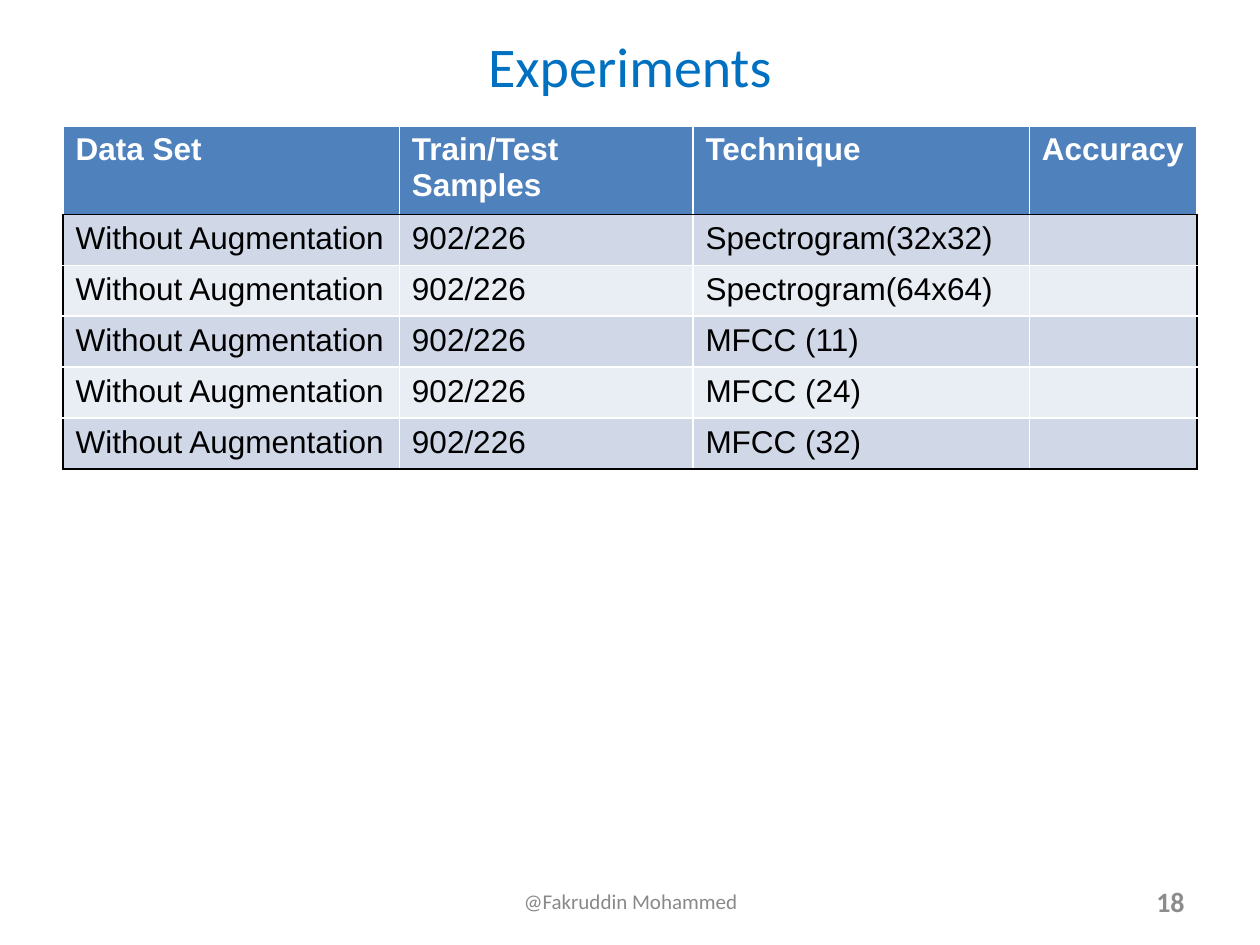
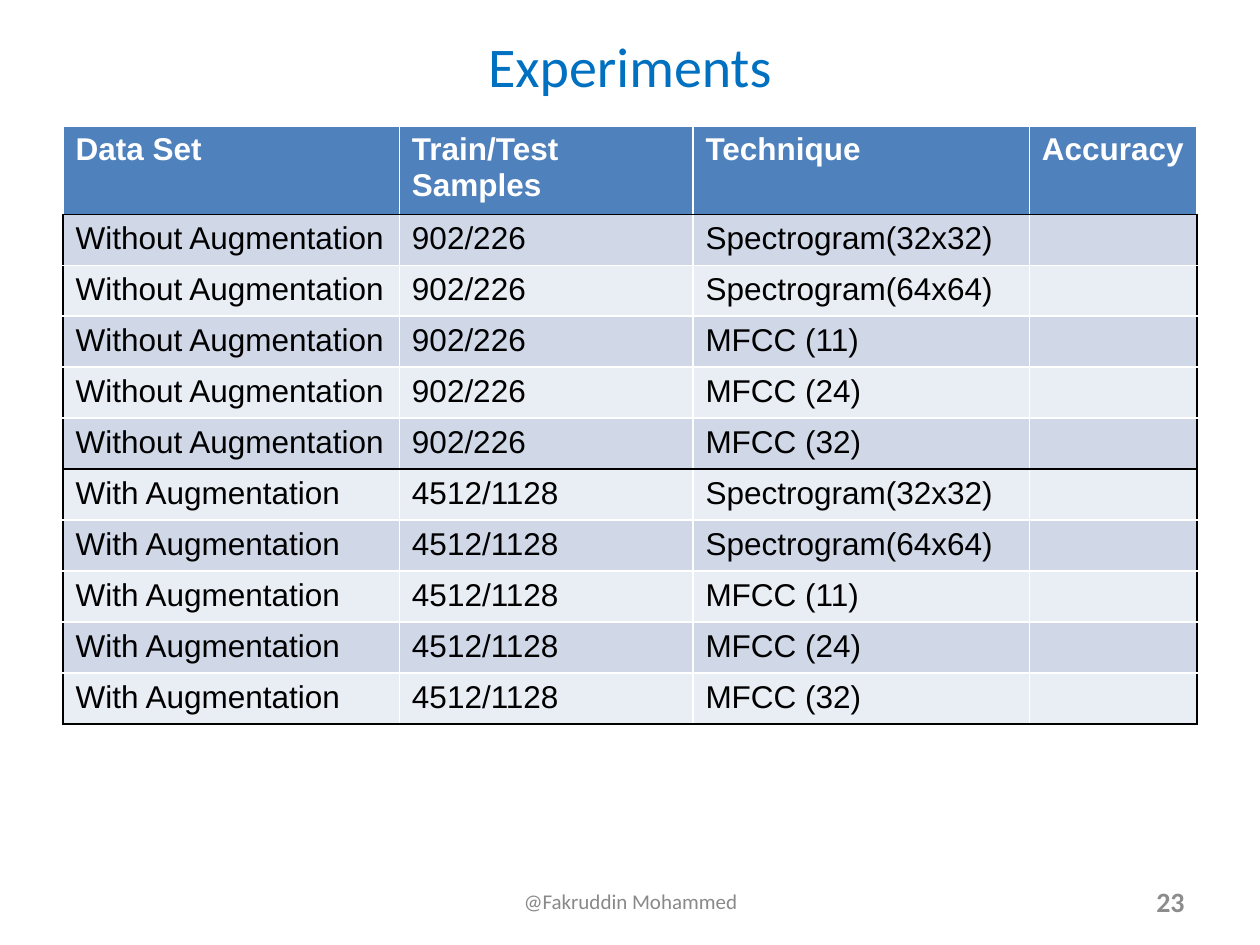
from pptx import Presentation
from pptx.dml.color import RGBColor
from pptx.enum.text import MSO_ANCHOR as Anchor, PP_ALIGN as Align
from pptx.oxml import parse_xml
from pptx.oxml.ns import nsdecls
from pptx.util import Inches, Pt

BLUE, HEAD, GREY, PAGE = "0070C0", "4F81BD", "898989", "8C8C8C"
WHITE, BLACK = "FFFFFF", "000000"
BANDS = ("D0D8E8", "E9EDF4")
HEADS = ("Data Set", "Train/Test Samples", "Technique", "Accuracy")
WIDTHS = (2.67, 2.33, 2.67, 1.33)
ROW = 2.43 / 6
METHODS = ("Spectrogram(32x32)", "Spectrogram(64x64)",
           "MFCC (11)", "MFCC (24)", "MFCC (32)")
PLAIN = ("Without Augmentation", "902/226")
EXTRA = ("With Augmentation", "4512/1128")


def color(code):
    return RGBColor.from_string(code)


def add_run(para, text, size, font, code, bold=False):
    run = para.add_run()
    run.text = text
    run.font.size = Pt(size)
    run.font.name = font
    run.font.bold = bold
    run.font.color.rgb = color(code)


def set_frame(shape, align):
    """Wrap and centre the text vertically; return its first paragraph."""
    frame = shape.text_frame
    frame.word_wrap = True
    frame.vertical_anchor = Anchor.MIDDLE
    para = frame.paragraphs[0]
    para.alignment = align
    return para


def add_title(slide, text):
    title = slide.shapes.title
    title.left, title.top = Inches(0.5), Inches(0.13)
    title.width, title.height = Inches(9), Inches(0.78)
    add_run(set_frame(title, Align.CENTER), text, 32, "Calibri", BLUE)


def add_foot(slide, left, width, align, text, size, code, bold=False):
    box = slide.shapes.add_textbox(
        Inches(left), Inches(6.95), Inches(width), Inches(0.4))
    add_run(set_frame(box, align), text, size, "Calibri", code, bold)


def set_edges(cell, left, right, top, bottom):
    """Draw the four cell borders, which must precede the fill."""
    props = cell._tc.get_or_add_tcPr()
    for place, (side, code) in enumerate(zip("LRTB", (left, right, top, bottom))):
        props.insert(place, parse_xml(
            f'<a:ln{side} {nsdecls("a")} w="{Pt(1)}"><a:solidFill>'
            f'<a:srgbClr val="{code}"/></a:solidFill></a:ln{side}>'))


def fill_cell(cell, text, fill, code, bold=False):
    cell.fill.solid()
    cell.fill.fore_color.rgb = color(fill)
    para = cell.text_frame.paragraphs[0]
    if text:
        add_run(para, text, 18, "Arial", code, bold)
    else:
        para.font.size = Pt(18)


def add_results(slide, groups):
    """Add one row per data set and method, with each data set framed."""
    step = len(METHODS)
    rows = [(*group, method, "") for group in groups for method in METHODS]
    count = len(rows) + 1
    table = slide.shapes.add_table(
        count, len(HEADS), Inches(0.5), Inches(1),
        Inches(9), Inches(ROW * count)).table
    for col, (head, width) in enumerate(zip(HEADS, WIDTHS)):
        table.columns[col].width = Inches(width)
        cell = table.cell(0, col)
        fill_cell(cell, head, HEAD, WHITE, True)
        set_edges(cell, WHITE, WHITE, WHITE, BLACK)
    for index, row in enumerate(rows):
        top = BLACK if index % step == 0 else WHITE
        bottom = BLACK if index % step == step - 1 else WHITE
        for col, text in enumerate(row):
            cell = table.cell(index + 1, col)
            fill_cell(cell, text, BANDS[index % 2], BLACK)
            left = BLACK if col == 0 else WHITE
            right = BLACK if col == len(row) - 1 else WHITE
            set_edges(cell, left, right, top, bottom)


def add_page(deck, number, groups):
    slide = deck.slides.add_slide(deck.slide_layouts[5])
    add_title(slide, "Experiments")
    add_foot(slide, 3.42, 3.17, Align.CENTER, "@Fakruddin Mohammed", 12, GREY)
    add_foot(slide, 7.17, 2.33, Align.RIGHT, number, 16, PAGE, True)
    add_results(slide, groups)


def main():
    deck = Presentation()
    deck.slide_width, deck.slide_height = Inches(10), Inches(7.5)
    add_page(deck, "18", [PLAIN])
    add_page(deck, "23", [PLAIN, EXTRA])
    deck.save("out.pptx")


if __name__ == "__main__":
    main()
